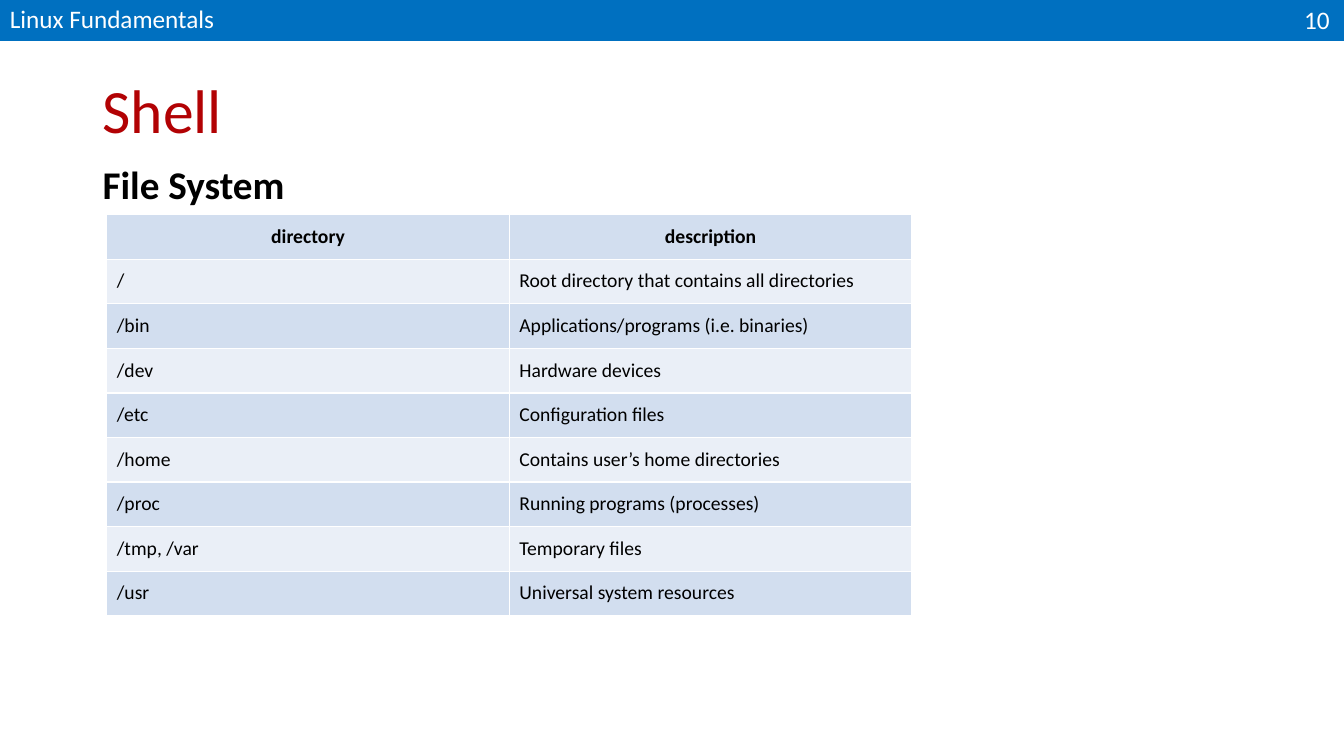
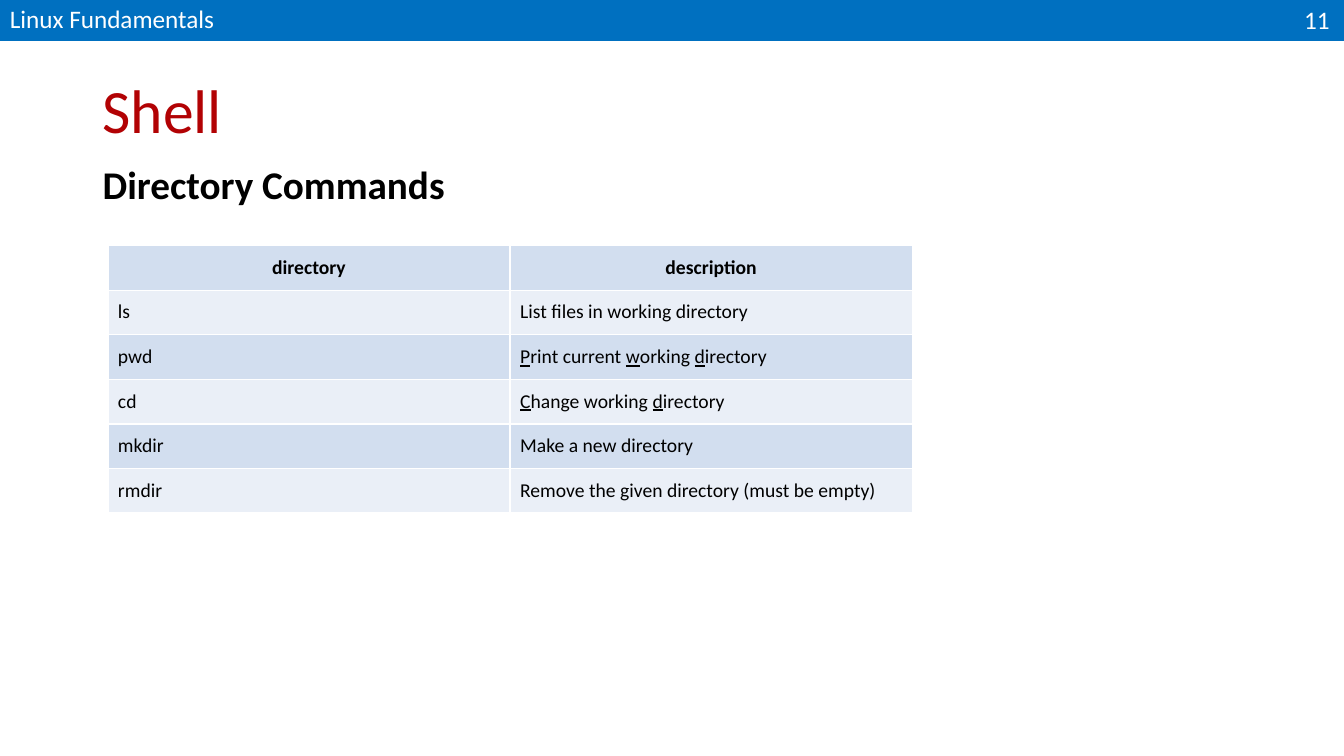
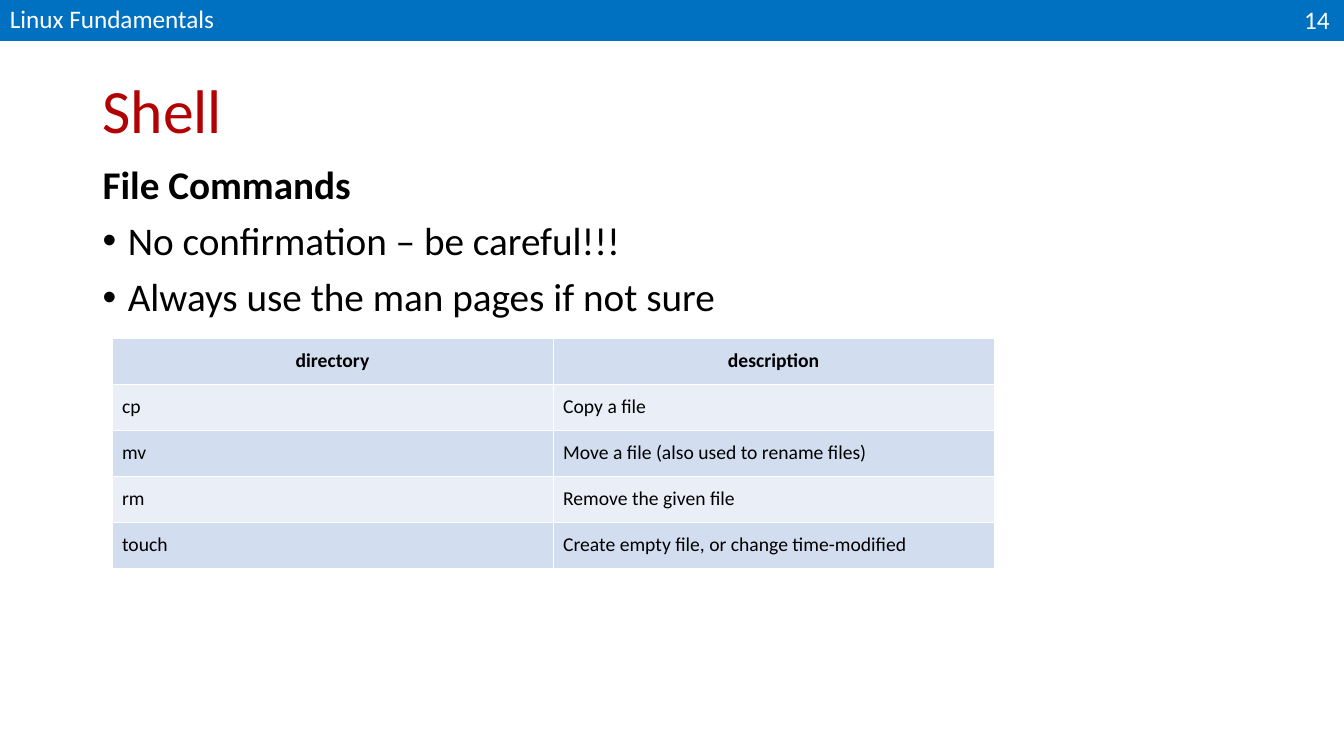
import pptx
import pptx.util
import pptx.dml.color
import pptx.enum.shapes
import pptx.enum.text
import pptx.oxml.ns
import lxml.etree

WIDE, HIGH = pptx.util.Inches(13.333), pptx.util.Inches(7.5)
FONT = "Calibri"
BLUE, RED, BLACK, WHITE = "0070C0", "B20204", "000000", "FFFFFF"
BANDS = "D2DEEF", "EAEFF7"
LEFT, SPAN = 6.9, 86.25
PAD = pptx.util.Inches(0.1)
ALIGN = pptx.enum.text.PP_ALIGN
ANCHOR = pptx.enum.text.MSO_ANCHOR

FILES = [
    ("/", "Root directory that contains all directories"),
    ("/bin", "Applications/programs (i.e. binaries)"),
    ("/dev", "Hardware devices"),
    ("/etc", "Configuration files"),
    ("/home", "Contains user’s home directories"),
    ("/proc", "Running programs (processes)"),
    ("/tmp, /var", "Temporary files"),
    ("/usr", "Universal system resources"),
]
# Underscores enclose underlined letters.
FOLDERS = [
    ("ls", "List files in working directory"),
    ("pwd", "_P_rint current _w_orking _d_irectory"),
    ("cd", "_C_hange working _d_irectory"),
    ("mkdir", "Make a new directory"),
    ("rmdir", "Remove the given directory (must be empty)"),
]
EDITS = [
    ("cp", "Copy a file"),
    ("mv", "Move a file (also used to rename files)"),
    ("rm", "Remove the given file"),
    ("touch", "Create empty file, or change time-modified"),
]
NOTES = ["No confirmation – be careful!!!", "Always use the man pages if not sure"]


def area(left, top, width, height):
    """Turn percentages of the slide into lengths."""
    return [round(share * side / 100) for share, side in
            zip((left, top, width, height), (WIDE, HIGH, WIDE, HIGH))]


def color(code):
    return pptx.dml.color.RGBColor.from_string(code)


def paint(thing, code):
    thing.fill.solid()
    thing.fill.fore_color.rgb = color(code)


def node(parent, tag, **attrs):
    return lxml.etree.SubElement(parent, pptx.oxml.ns.qn(tag), attrs)


def style(para, size, code, bold=False, align=ALIGN.LEFT):
    para.alignment = align
    for run in para.runs:
        font = run.font
        font.name, font.size, font.bold = FONT, pptx.util.Pt(size), bold
        font.color.rgb = color(code)


def box(slide, place, lines, anchor=ANCHOR.TOP):
    """Add a wrapping text box and return its paragraphs."""
    frame = slide.shapes.add_textbox(*area(*place)).text_frame
    frame.word_wrap = True
    frame.vertical_anchor = anchor
    frame.text = "\n".join(lines)
    return frame.paragraphs


def band(slide, number):
    bar = slide.shapes.add_shape(
        pptx.enum.shapes.MSO_SHAPE.RECTANGLE, *area(0, 0, 100, 5.4))
    bar.shadow.inherit = False
    paint(bar, BLUE)
    bar.line.fill.background()
    page = box(slide, (93.9, -0.13, 5.78, 5.4), [str(number)])
    style(page[0], 18, WHITE, align=ALIGN.RIGHT)
    course = box(slide, (0, -0.27, 33.75, 5.4), ["Linux Fundamentals"],
                 ANCHOR.MIDDLE)
    style(course[0], 18, WHITE)


def bullet(para):
    props = para._p.get_or_add_pPr()
    indent = pptx.util.Inches(0.25)
    props.set("marL", str(indent))
    props.set("indent", str(-indent))
    node(props, "a:buFont", typeface="Arial")
    node(props, "a:buChar", char="•")


def body(slide, head, notes):
    paras = box(slide, (LEFT, 21.2, SPAN, 63.5), [head, *notes])
    for para in paras[1:]:
        bullet(para)
        para.space_before = pptx.util.Pt(10)
    for i, para in enumerate(paras):
        para.line_spacing = 0.9
        style(para, 28, BLACK, bold=i == 0)


def border(cell):
    props = cell._tc.get_or_add_tcPr()
    for side in ("a:lnL", "a:lnR", "a:lnT", "a:lnB"):
        line = node(props, side, w=str(pptx.util.Pt(1)))
        node(node(line, "a:solidFill"), "a:srgbClr", val=WHITE)


def write(cell, text, head):
    para = cell.text_frame.paragraphs[0]
    for i, part in enumerate(text.split("_")):
        if part:
            run = para.add_run()
            run.text = part
            run.font.underline = i % 2 == 1
    style(para, 14, BLACK, head, ALIGN.CENTER if head else ALIGN.LEFT)


def grid(slide, left, top, width, step, rows):
    """Add a banded table whose rows are each step high."""
    rows = [("directory", "description"), *rows]
    place = area(left, top, width, step * len(rows))
    table = slide.shapes.add_table(len(rows), 2, *place).table
    table.horz_banding = False
    for r, texts in enumerate(rows):
        for c, text in enumerate(texts):
            cell = table.cell(r, c)
            cell.margin_left = cell.margin_right = PAD
            cell.margin_top = cell.margin_bottom = PAD
            border(cell)
            paint(cell, BANDS[r % 2])
            write(cell, text, r == 0)


def page(deck, number, head, place, rows, notes=()):
    slide = deck.slides.add_slide(deck.slide_layouts[6])
    band(slide, number)
    title = box(slide, (LEFT, 5.3, SPAN, 19.3), ["Shell"], ANCHOR.MIDDLE)[0]
    title.line_spacing = 0.9
    style(title, 44, RED)
    body(slide, head, notes)
    grid(slide, *place, rows)


def main():
    deck = pptx.Presentation()
    deck.slide_width, deck.slide_height = WIDE, HIGH
    page(deck, 10, "File System", (7.95, 28.4, 59.9, 5.9), FILES)
    page(deck, 11, "Directory Commands", (8.03, 32.5, 59.85, 5.9), FOLDERS)
    page(deck, 14, "File Commands", (8.33, 44.8, 65.65, 6.08), EDITS, NOTES)
    deck.save("out.pptx")


if __name__ == "__main__":
    main()
